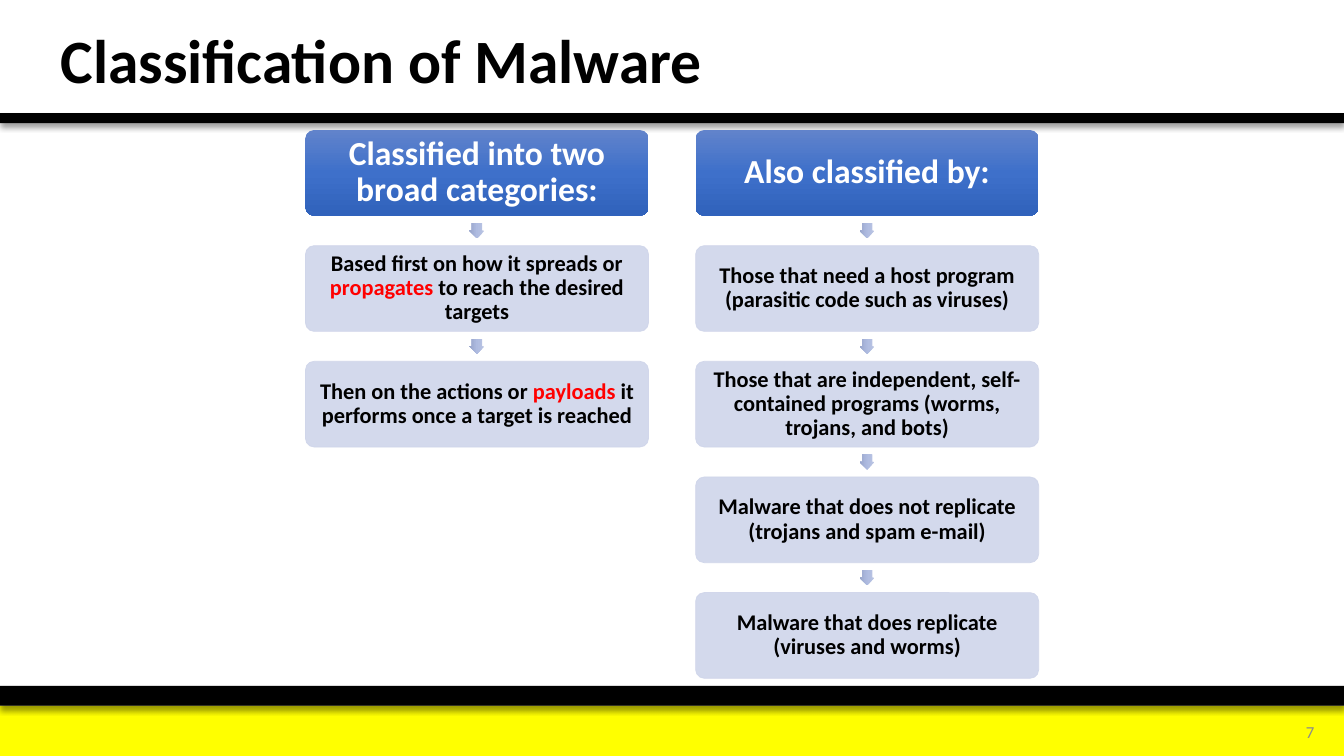
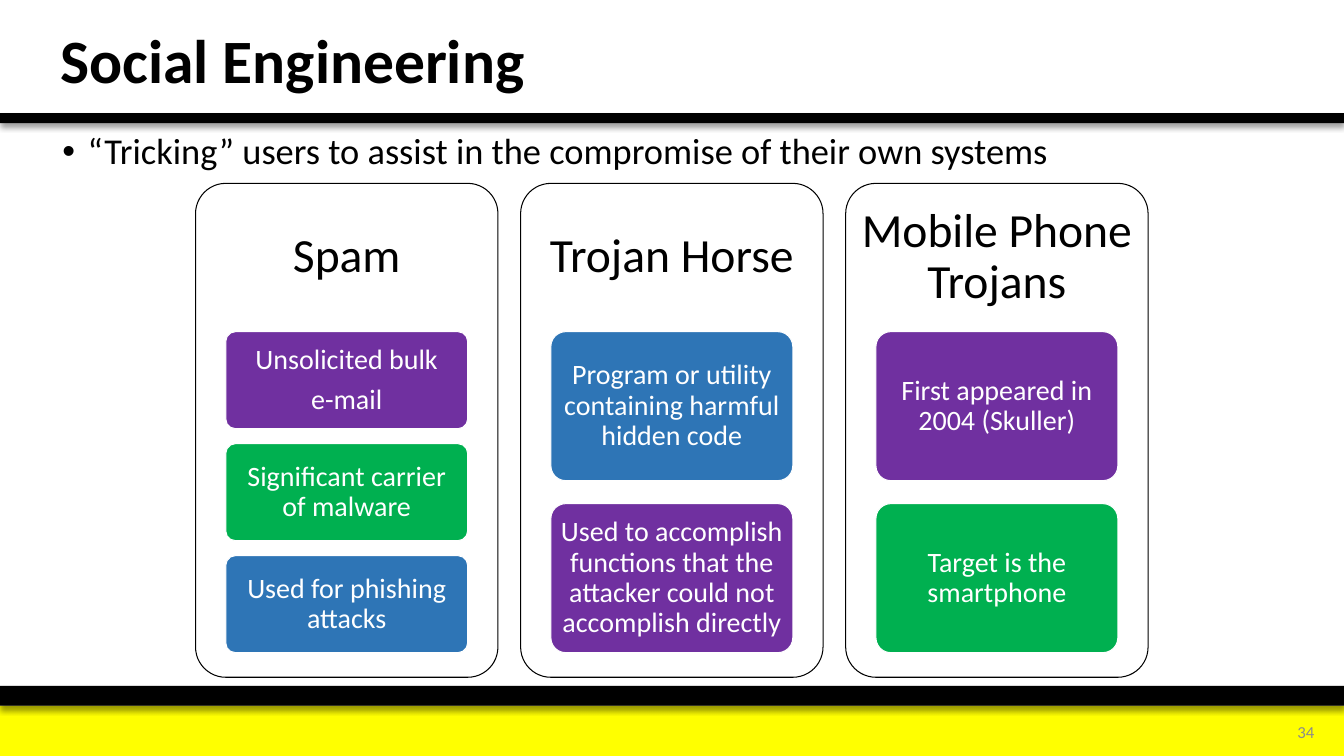
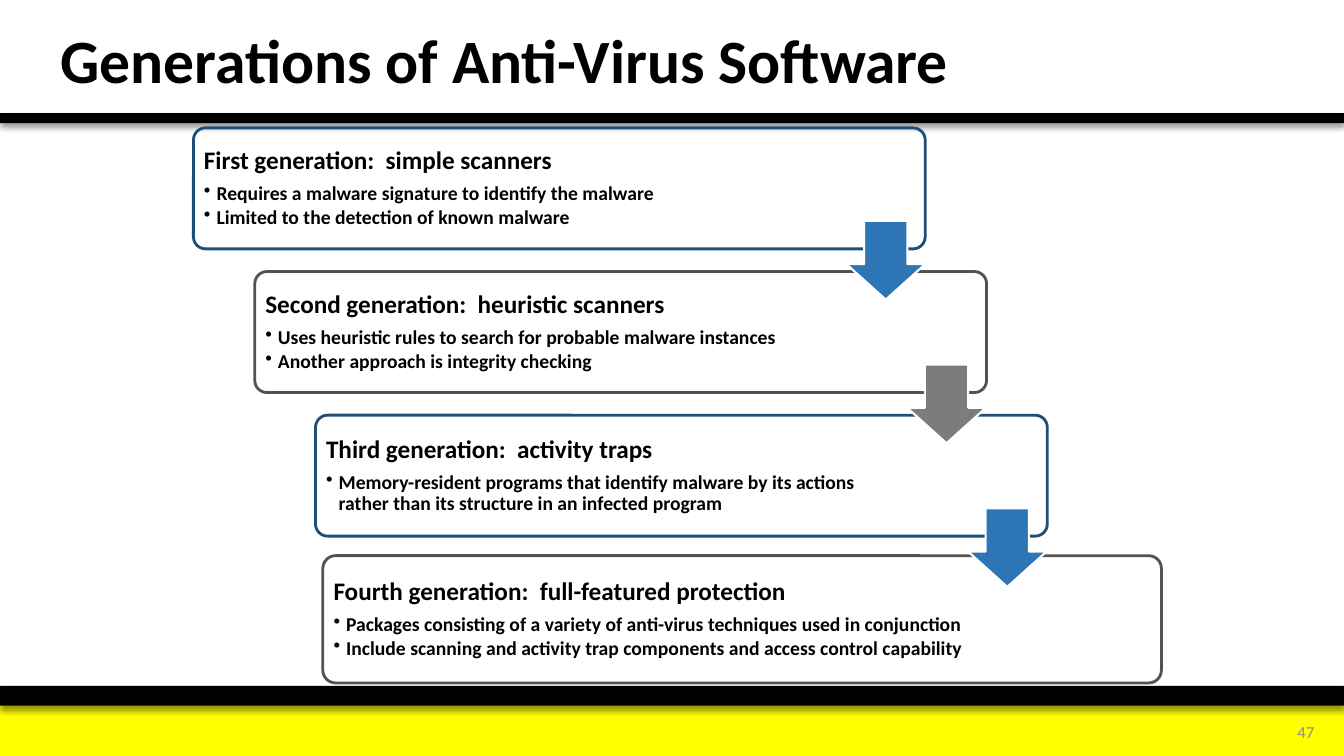
from lxml import etree
from pptx import Presentation
from pptx.dml.color import RGBColor
from pptx.enum.shapes import MSO_SHAPE
from pptx.enum.text import MSO_ANCHOR, MSO_AUTO_SIZE, PP_ALIGN
from pptx.oxml.ns import qn
from pptx.util import Pt

RECT, ROUND = MSO_SHAPE.RECTANGLE, MSO_SHAPE.ROUNDED_RECTANGLE
RIGHT, DOWN = MSO_SHAPE.RIGHT_ARROW, MSO_SHAPE.DOWN_ARROW
MIDDLE, FIXED = MSO_ANCHOR.MIDDLE, MSO_AUTO_SIZE.NONE
LEFT, CENTER, END = PP_ALIGN.LEFT, PP_ALIGN.CENTER, PP_ALIGN.RIGHT

FONT = "Calibri"
BLACK, WHITE, RED, YELLOW = "000000", "FFFFFF", "FF0000", "FFFF00"
BLUE, GREEN, PURPLE, GREY = "2E75B6", "00B050", "7030A0", "7C7C7C"
NAVY, DARK, PALE = "1F4E79", "525252", "CFD5EA"
HEAD = ("6183CB", "3E70CA", "3062BB")
TIP = ("BBC5E3", "AEBBE0", "98A4CB")


def rgb(code):
    return RGBColor.from_string(code)


def box(slide, kind, spot, fill=None, line=None, width=0.75, adj=(),
        text="", size=16, ink=BLACK, bold=False, align=CENTER, pad=(2, 2, 2, 2)):
    """Add a shape; words between asterisks turn red, a tuple fill is a gradient."""
    shape = slide.shapes.add_shape(kind, *[Pt(n) for n in spot])
    shape.shadow.inherit = False
    for i, part in enumerate(adj):
        shape.adjustments[i] = part
    if isinstance(fill, tuple):
        shape.fill.gradient()
        shape.fill.gradient_angle = 270
        stops = shape.element.spPr.find(".//" + qn("a:gsLst"))
        stops.clear()
        for i, code in enumerate(fill):
            stop = etree.SubElement(stops, qn("a:gs"), pos=str(i * 50000))
            etree.SubElement(stop, qn("a:srgbClr"), val=code)
    elif fill:
        shape.fill.solid()
        shape.fill.fore_color.rgb = rgb(fill)
    else:
        shape.fill.background()
    if line:
        shape.line.color.rgb = rgb(line)
        shape.line.width = Pt(width)
    else:
        shape.line.fill.background()
    if text:
        frame = shape.text_frame
        frame.word_wrap = True
        frame.vertical_anchor = MIDDLE
        (frame.margin_left, frame.margin_top,
         frame.margin_right, frame.margin_bottom) = [Pt(n) for n in pad]
        frame.text = text.replace("*", "")
        for para, row in zip(frame.paragraphs, text.split("\n")):
            para.alignment = align
            para.line_spacing = 0.9
            para.space_after = Pt(size * 0.35)
            parts = row.split("*")
            para.runs[0].text = parts[0]
            for part in parts[1:]:
                para.add_run().text = part
            for i, run in enumerate(para.runs):
                run.font.name = FONT
                run.font.size = Pt(size)
                run.font.bold = bold
                run.font.color.rgb = rgb(RED if i % 2 else ink)
    return shape


deck = Presentation()
deck.slide_width, deck.slide_height = Pt(960), Pt(540)

# Slides with title and number
pages = [("Classification of Malware", "7", 5, 648),
         ("Social Engineering", "34", 1, 648),
         ("Generations of Anti-Virus Software", "47", 5, 688)]
slides = []
for name, num, kind, wide in pages:
    slide = deck.slides.add_slide(deck.slide_layouts[kind])
    slides.append(slide)
    title = slide.shapes.title
    title.left, title.top, title.width, title.height = Pt(36), Pt(5), Pt(wide), Pt(81)
    label = slide.shapes.add_textbox(Pt(891), Pt(508), Pt(55), Pt(29))
    for item, words, size, ink, bold, align in (
            (title, name, 44, BLACK, True, LEFT),
            (label, num, 12, "8C8C8C", False, END)):
        frame = item.text_frame
        frame.text = words
        frame.word_wrap = True
        frame.auto_size = FIXED
        frame.vertical_anchor = MIDDLE
        para = frame.paragraphs[0]
        para.alignment = align
        para.line_spacing = 0.9 if item is title else 1.0
        font = para.runs[0].font
        font.name, font.size, font.bold = FONT, Pt(size), bold
        font.color.rgb = rgb(ink)
first, second, third = slides

# Bands, kept on the slide master
tree = deck.slide_master.shapes.element
for i, (top, high, fill) in enumerate([(504, 36, YELLOW), (490, 14, BLACK), (80.8, 7.2, BLACK)]):
    band = box(first, RECT, (0, top, 960, high), fill)
    if fill == BLACK:
        glow = etree.SubElement(band.element.spPr.find(qn("a:effectLst")), qn("a:outerShdw"),
                                blurRad=str(Pt(4)), dist=str(Pt(3)), dir="5400000",
                                algn="t", rotWithShape="0")
        tint = etree.SubElement(glow, qn("a:srgbClr"), val=BLACK)
        etree.SubElement(tint, qn("a:alpha"), val="40000")
    band.element.nvSpPr.cNvPr.set("id", str(101 + i))
    tree.insert(2 + i, band.element)

# Classification: two columns of steps
stacks = [
    ("Classified into two broad categories:",
     "Based first on how it spreads or *propagates* to reach the desired targets",
     "Then on the actions or *payloads* it performs once a target is reached"),
    ("Also classified by:",
     "Those that need a host program (parasitic code such as viruses)",
     "Those that are independent, self-contained programs (worms, trojans, and bots)",
     "Malware that does not replicate (trojans and spam e-mail)",
     "Malware that does replicate (viruses and worms)")]
wide, high, step, tip = 245, 61.2, 82.6, 10.8
for col, stack in enumerate(stacks):
    left = 218.2 + col * 278.7
    for row, words in enumerate(stack):
        top = 92.9 + row * step
        spot = (left, top, wide, high)
        if row == 0:
            box(first, ROUND, spot, HEAD, adj=[0.1], text=words, size=24, ink=WHITE, bold=True)
            continue
        arrow = box(first, RIGHT, (left + (wide - tip) / 2, top - (step - high + tip) / 2, tip, tip),
                    TIP, adj=[0.67, 0.5])
        arrow.rotation = 90
        card = box(first, ROUND, spot, PALE, PALE, 0.5, [0.1], words, bold=True)
        for tint in card.element.spPr.iter(qn("a:srgbClr")):
            etree.SubElement(tint, qn("a:alpha"), val="90000")

# Social engineering: lead line
body = second.placeholders[1]
body.left, body.top, body.width, body.height = Pt(37.4), Pt(91.4), Pt(885), Pt(45.4)
frame = body.text_frame
frame.text = "“Tricking” users to assist in the compromise of their own systems"
frame.auto_size = FIXED
para = frame.paragraphs[0]
para.line_spacing = 0.9
para.space_before = Pt(0)
props = para._p.get_or_add_pPr()
props.set("marL", str(Pt(18)))
props.set("indent", str(Pt(-18)))
etree.SubElement(props, qn("a:buChar"), char="•")
font = para.runs[0].font
font.name, font.size = FONT, Pt(26)
font.color.rgb = rgb(BLACK)

# Social engineering: three panels of cards
panels = [
    ("Spam", [("Unsolicited bulk\ne-mail", PURPLE),
              ("Significant carrier of malware", GREEN),
              ("Used for phishing attacks", BLUE)]),
    ("Trojan Horse", [("Program or utility containing harmful hidden code", BLUE),
                      ("Used to accomplish functions that the attacker could not accomplish directly",
                       PURPLE)]),
    ("Mobile Phone Trojans", [("First appeared in 2004 (Skuller)", PURPLE),
                              ("Target is the smartphone", GREEN)])]
for col, (name, cards) in enumerate(panels):
    left = 139.7 + col * 232.2
    box(second, ROUND, (left, 131, 216, 352.8), line=BLACK, adj=[0.1],
        text=name, size=34, pad=(3.5, 4, 3.5, 251))
    high = 229.3 / (len(cards) + 0.154 * (len(cards) - 1))
    for row, (words, fill) in enumerate(cards):
        box(second, ROUND, (left + 21.6, 236.9 + row * high * 1.154, 172.8, high), fill, WHITE,
            adj=[0.1], text=words, size=20, ink=WHITE, pad=(4, 3, 4, 3))

# Generations: staircase of boxes
steps = [
    ((138.2, 91.4, 522.7, 86.4), NAVY,
     "First generation:  simple scanners\n"
     "Requires a malware signature to identify the malware\n"
     "Limited to the detection of known malware"),
    ((182, 194, 522.7, 86.4), DARK,
     "Second generation:  heuristic scanners\n"
     "Uses heuristic rules to search for probable malware instances\n"
     "Another approach is integrity checking"),
    ((225.4, 296.6, 522.7, 86.4), NAVY,
     "Third generation:  activity traps\n"
     "Memory-resident programs that identify malware by its actions "
     "rather than its structure in an infected program"),
    ((230.6, 396.9, 599, 90.9), DARK,
     "Fourth generation:  full-featured protection\n"
     "Packages consisting of a variety of anti-virus techniques used in conjunction\n"
     "Include scanning and activity trap components and access control capability")]
for spot, line, words in steps:
    card = box(third, ROUND, spot, line=line, width=2, adj=[0.1], text=words, size=18,
               bold=True, align=LEFT, pad=(5, 5, 105, 5))
    for para in card.text_frame.paragraphs[1:]:
        para.space_after = Pt(2.1)
        props = para._p.get_or_add_pPr()
        props.set("marL", str(Pt(9)))
        props.set("indent", str(Pt(-9)))
        etree.SubElement(props, qn("a:buChar"), char="•")
        para.runs[0].font.size = Pt(14)

# Generations: arrows down the stairs
for i, fill in enumerate([BLUE, GREY, BLUE]):
    box(third, DOWN, (604.6 + i * 43.4, 157.8 + i * 102.6, 56.2, 56.2), fill, WHITE, 1.5,
        [0.55, 0.45])

# The arrow head length is the second adjustment, the shaft width the first
deck.save("out.pptx")
